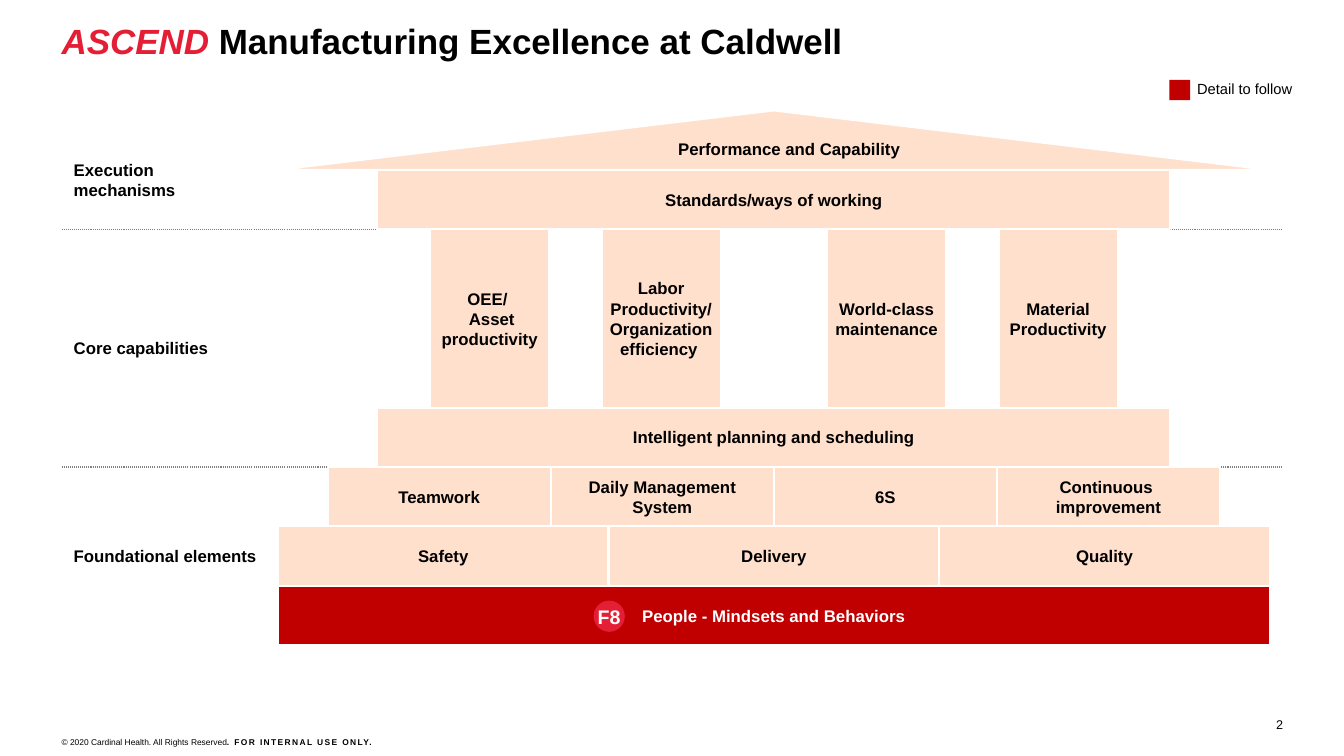
from pptx import Presentation
from pptx.dml.color import RGBColor
from pptx.enum.dml import MSO_LINE
from pptx.enum.shapes import MSO_CONNECTOR, MSO_SHAPE
from pptx.enum.text import MSO_ANCHOR, MSO_AUTO_SIZE, PP_ALIGN
from pptx.oxml.ns import qn
from pptx.util import Pt
from lxml.etree import SubElement

BLACK = RGBColor(0x00, 0x00, 0x00)
WHITE = RGBColor(0xFF, 0xFF, 0xFF)
PEACH = RGBColor(0xFF, 0xE0, 0xCC)
DEEP_RED = RGBColor(0xC0, 0x00, 0x00)
BRIGHT_RED = RGBColor(0xE4, 0x1F, 0x35)
GREY = RGBColor(0x80, 0x80, 0x80)

LEFT, RIGHT = 44, 916.5
TEMPLE_TOP = 78.9
TEMPLE_CENTER = 552.8
ROW = 42.45
PILLAR_WIDTH = 85
BASE_WIDTH, STEP_WIDTH, BEAM_WIDTH = 708.5, 637.4, 566.6


def row_top(row):
    return TEMPLE_TOP + row * ROW


def write(holder, text, size=12, color=BLACK, bold=False, italic=False,
          align=PP_ALIGN.LEFT, anchor=MSO_ANCHOR.TOP, margin=0, wrap=True,
          tracking=0):
    frame = holder.text_frame
    frame.auto_size = MSO_AUTO_SIZE.NONE
    frame.word_wrap = wrap
    frame.vertical_anchor = anchor
    frame.margin_left = frame.margin_right = Pt(margin)
    frame.margin_top = frame.margin_bottom = Pt(margin)
    for index, line in enumerate(text.split("\n")):
        paragraph = frame.add_paragraph() if index else frame.paragraphs[0]
        paragraph.alignment = align
        run = paragraph.add_run()
        run.text = line
        font = run.font
        font.name = "Arial"
        font.size = Pt(size)
        font.bold = bold
        font.italic = italic
        font.color.rgb = color
        if tracking:
            run._r.get_or_add_rPr().set("spc", str(tracking * 100))


def add_label(slide, text, left, top, width, height, **style):
    label = slide.shapes.add_textbox(Pt(left), Pt(top), Pt(width), Pt(height))
    write(label, text, **style)
    return label


def add_figure(slide, kind, left, top, width, height, fill, outlined=True):
    figure = slide.shapes.add_shape(kind, Pt(left), Pt(top), Pt(width), Pt(height))
    figure.shadow.inherit = False
    figure.fill.solid()
    figure.fill.fore_color.rgb = fill
    if outlined:
        figure.line.color.rgb = WHITE
        figure.line.width = Pt(1.5)
    else:
        figure.line.fill.background()
    return figure


def add_block(slide, text, left, top, width, height=ROW, fill=PEACH, color=BLACK):
    block = add_figure(slide, MSO_SHAPE.RECTANGLE, left, top, width, height, fill)
    write(block, text, color=color, bold=True, align=PP_ALIGN.CENTER,
          anchor=MSO_ANCHOR.MIDDLE, margin=5.5)


def add_course(slide, texts, row, total_width, **style):
    width = total_width / len(texts)
    for index, text in enumerate(texts):
        left = TEMPLE_CENTER - total_width / 2 + index * width
        add_block(slide, text, left, row_top(row), width, **style)


def add_divider(slide, top):
    divider = slide.shapes.add_connector(
        MSO_CONNECTOR.STRAIGHT, Pt(LEFT), Pt(top), Pt(RIGHT), Pt(top))
    divider.line.color.rgb = GREY
    divider.line.width = Pt(0.75)
    divider.line.dash_style = MSO_LINE.ROUND_DOT
    SubElement(divider._element.spPr, qn("a:effectLst"))


def add_title(slide):
    title = slide.shapes.title
    title.left, title.top = Pt(LEFT), Pt(13.7)
    title.width, title.height = Pt(RIGHT - LEFT), Pt(30)
    write(title, "ASCEND", size=25, color=BRIGHT_RED, bold=True, italic=True)
    write(title, " Manufacturing Excellence at Caldwell", size=25, bold=True)


def add_temple(slide):
    roof = TEMPLE_CENTER - BASE_WIDTH / 2, row_top(0), BASE_WIDTH, ROW
    add_figure(slide, MSO_SHAPE.ISOSCELES_TRIANGLE, *roof, PEACH)
    add_label(slide, "Performance and Capability", 478, 93, 171.5, 26, bold=True,
              align=PP_ALIGN.CENTER, margin=5.8)
    add_course(slide, ["Standards/ways of working"], 1, BEAM_WIDTH)
    pillars = [
        ("OEE/ \n Asset productivity", -203),
        ("Labor Productivity/ Organization efficiency ", -80.5),
        ("World-class maintenance", 80.5),
        ("Material\nProductivity", 203),
    ]
    for text, offset in pillars:
        add_block(slide, text, TEMPLE_CENTER + offset - PILLAR_WIDTH / 2,
                  row_top(2), PILLAR_WIDTH, 3 * ROW)
    add_course(slide, ["Intelligent planning and scheduling"], 5, BEAM_WIDTH)
    add_course(slide, ["Teamwork", "Daily Management System", "6S",
                       "Continuous \nimprovement"], 6, STEP_WIDTH)
    add_course(slide, ["Safety", "Delivery", "Quality"], 7, BASE_WIDTH)
    add_course(slide, ["People - Mindsets and Behaviors"], 8, BASE_WIDTH,
               fill=DEEP_RED, color=WHITE)
    badge = add_figure(slide, MSO_SHAPE.OVAL, 424, 429, 22.3, 22.3,
                       BRIGHT_RED, outlined=False)
    write(badge, "F8", size=14, color=WHITE, bold=True, wrap=False,
          align=PP_ALIGN.CENTER, anchor=MSO_ANCHOR.MIDDLE)


def add_legend(slide):
    add_figure(slide, MSO_SHAPE.RECTANGLE, 835.2, 57, 15, 14.5,
               DEEP_RED, outlined=False)
    add_label(slide, "Detail to follow", 855.2, 57, 75, 14.5, size=10.5, wrap=False)


def add_footer(slide):
    notice = add_label(slide, "© 2020 Cardinal Health. All Rights Reserved",
                       LEFT, 526.3, 227, 7.2, size=6, wrap=False,
                       anchor=MSO_ANCHOR.MIDDLE)
    write(notice, ". FOR INTERNAL USE ONLY.", size=6, bold=True, wrap=False,
          anchor=MSO_ANCHOR.MIDDLE, tracking=1)
    add_label(slide, "2", 890.5, 512, 26, 10.8, size=9, align=PP_ALIGN.RIGHT,
              anchor=MSO_ANCHOR.BOTTOM)


def main():
    deck = Presentation()
    deck.slide_width, deck.slide_height = Pt(960), Pt(540)
    slide = deck.slides.add_slide(deck.slide_layouts[5])
    add_title(slide)
    for row in (2, 6):
        add_divider(slide, row_top(row))
    tiers = [("Execution mechanisms", 114), ("Core capabilities", 241.2),
             ("Foundational elements", 390)]
    for text, top in tiers:
        add_label(slide, text, 52.7, top, 133, 15, bold=True)
    add_temple(slide)
    add_legend(slide)
    add_footer(slide)
    deck.save("out.pptx")


if __name__ == "__main__":
    main()
